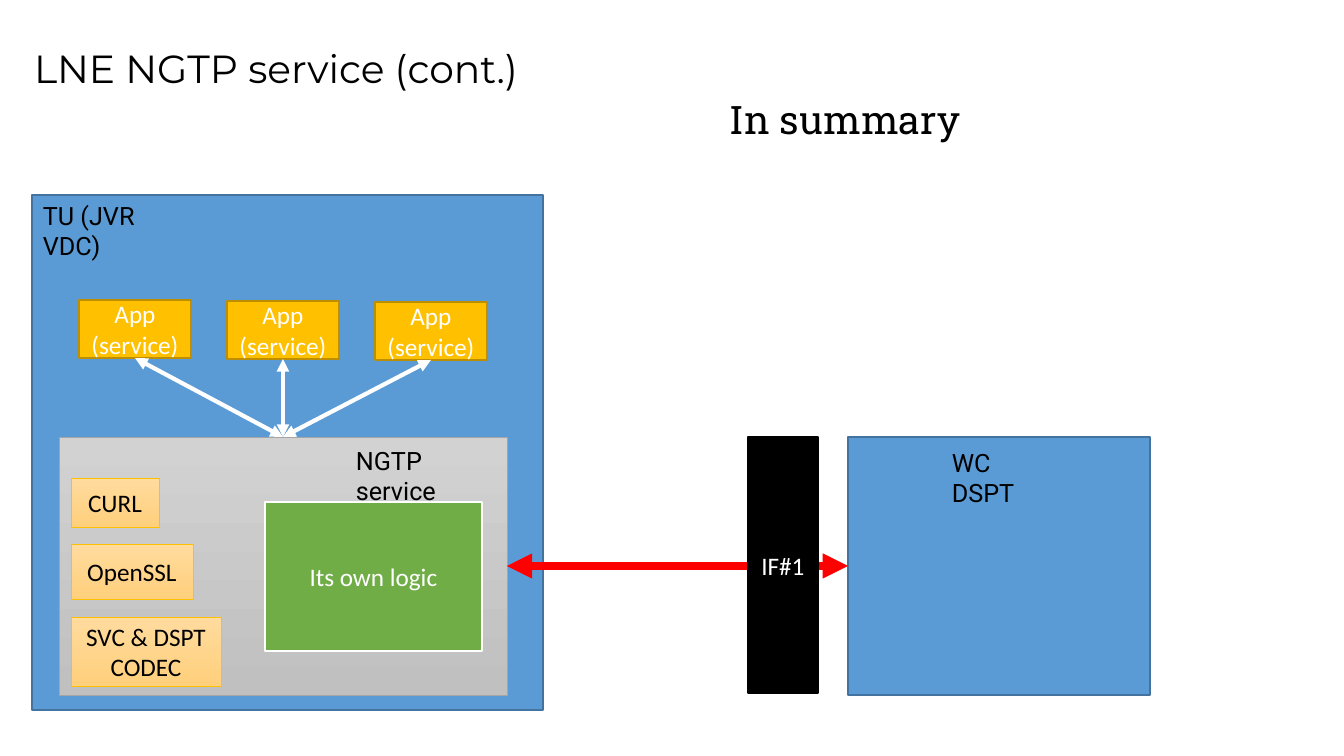
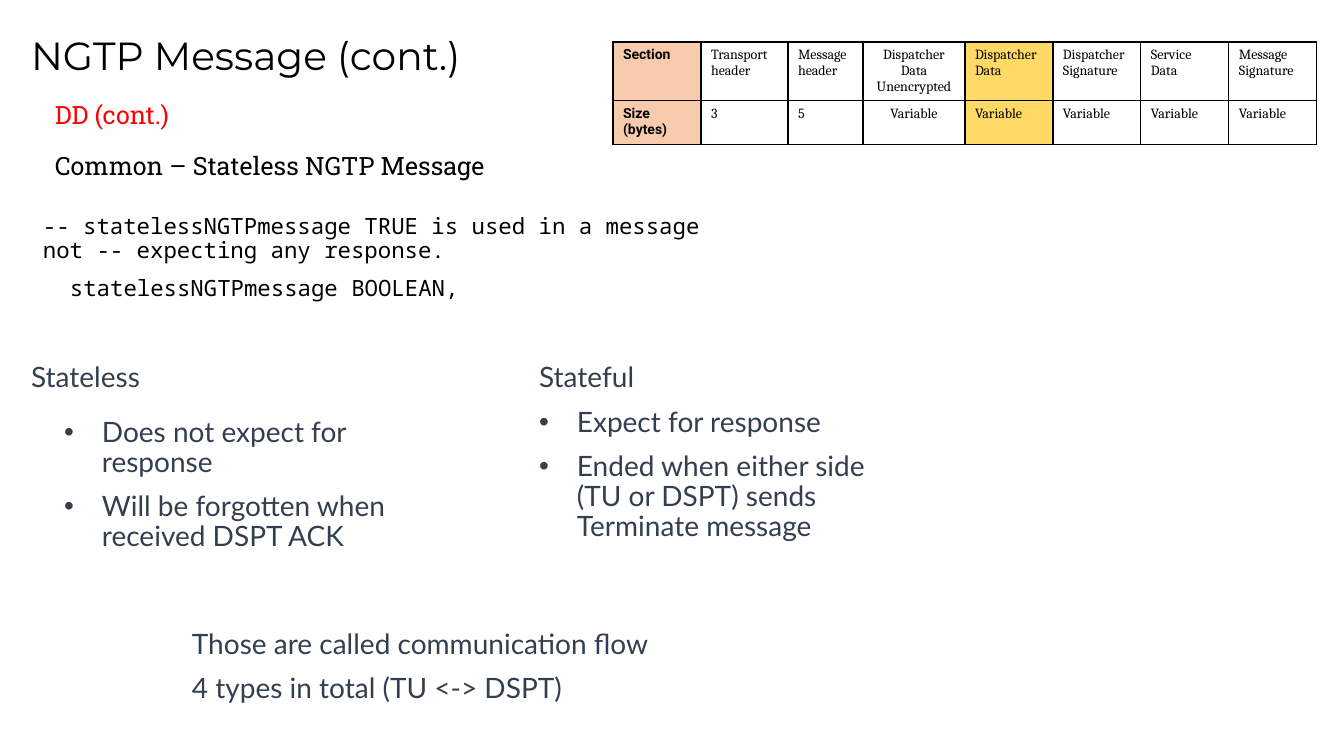
from pptx import Presentation
from pptx.dml.color import RGBColor
from pptx.enum.shapes import MSO_CONNECTOR, MSO_SHAPE
from pptx.enum.text import MSO_ANCHOR, MSO_AUTO_SIZE, PP_ALIGN
from pptx.oxml.ns import qn
from pptx.util import Emu, Pt
from lxml.etree import SubElement

# Shared style
EMU_PER_PX = 914400 / 100.8
BLACK = RGBColor(0x00, 0x00, 0x00)
WHITE = RGBColor(0xFF, 0xFF, 0xFF)
RED = RGBColor(0xFF, 0x00, 0x00)
BLUE = RGBColor(0x5B, 0x9B, 0xD5)
BLUE_EDGE = RGBColor(0x43, 0x73, 0x9E)
GOLD = RGBColor(0xFF, 0xC0, 0x00)
GOLD_EDGE = RGBColor(0xBD, 0x8E, 0x00)
GREEN = RGBColor(0x70, 0xAD, 0x47)
GRAY_EDGE = RGBColor(0xA5, 0xA5, 0xA5)
GRAY_FADE = (RGBColor(0xD2, 0xD2, 0xD2), RGBColor(0xC0, 0xC0, 0xC0))
GOLD_FADE = (RGBColor(0xFF, 0xDB, 0x9E), RGBColor(0xFF, 0xD0, 0x7C))
SLATE = RGBColor(0x33, 0x3F, 0x50)
PEACH = RGBColor(0xF8, 0xCB, 0xAD)
YELLOW = RGBColor(0xFF, 0xD9, 0x66)

TITLE_ONLY, COMPARISON = 5, 4
TITLE_FONT = ("Montserrat", 28, BLACK)
SUMMARY_FONT = ("Roboto Slab", 28, BLACK)
LABEL_FONT = ("Roboto", 18, BLACK)
SECTION_FONT = ("Roboto Slab", 18, BLACK)
ALERT_FONT = ("Roboto Slab", 18, RED)
CODE_FONT = ("Noto Sans Mono", 16, BLACK)
LIST_FONT = ("Lato", 20, SLATE)
CELL_FONT = ("Cambria", 10, BLACK)
CELL_HEAD_FONT = ("Roboto", 10, BLACK)


def px(length):
    return Emu(round(length * EMU_PER_PX))


def set_font(para, style, bold=False):
    para.font.name, para.font.size = style[0], Pt(style[1])
    para.font.color.rgb = style[2]
    para.font.bold = bold


class Deck:
    def __init__(self):
        self.deck = Presentation()
        self.deck.slide_width, self.deck.slide_height = px(1344), px(756)
        self.page = None

    def start(self, layout, title, at):
        self.page = self.deck.slides.add_slide(self.deck.slide_layouts[layout])
        self.fill_placeholder(0, [title], at, TITLE_FONT, spaced=False)

    def set_lines(self, frame, lines, style, spaced):
        frame.word_wrap = True
        frame.auto_size = MSO_AUTO_SIZE.NONE
        frame.vertical_anchor = MSO_ANCHOR.TOP
        frame.text = "\n".join(lines)
        for para in frame.paragraphs:
            para.alignment = PP_ALIGN.LEFT
            set_font(para, style)
            if spaced:
                para.line_spacing = 0.9
                para.space_before = Pt(10)

    def fill_placeholder(self, index, lines, at, style, spaced=True):
        box = self.page.placeholders[index]
        box.left, box.top, box.width, box.height = map(px, at)
        self.set_lines(box.text_frame, lines, style, spaced)

    def text(self, lines, at, style, spaced=False):
        box = self.page.shapes.add_textbox(*map(px, at))
        self.set_lines(box.text_frame, lines, style, spaced)
        return box

    def box(self, at, fill, edge, weight=1, text="", color=WHITE):
        box = self.page.shapes.add_shape(MSO_SHAPE.RECTANGLE, *map(px, at))
        box.shadow.inherit = False
        if isinstance(fill, RGBColor):
            box.fill.solid()
            box.fill.fore_color.rgb = fill
        else:
            box.fill.gradient()
            box.fill.gradient_angle = 270
            for stop, shade in zip(box.fill.gradient_stops, fill):
                stop.color.rgb = shade
        box.line.color.rgb = edge
        box.line.width = Pt(weight)
        if text:
            frame = box.text_frame
            frame.word_wrap = True
            frame.vertical_anchor = MSO_ANCHOR.MIDDLE
            frame.text = text
            frame.paragraphs[0].alignment = PP_ALIGN.CENTER
            set_font(frame.paragraphs[0], ("Calibri", 18, color))
        return box

    def arrow(self, start, start_side, end, end_side, color, weight):
        line = self.page.shapes.add_connector(MSO_CONNECTOR.STRAIGHT, 0, 0, 0, 0)
        line.begin_connect(start, start_side)
        line.end_connect(end, end_side)
        line.line.color.rgb = color
        line.line.width = Pt(weight)
        properties = line._element.spPr
        stroke = properties.find(qn("a:ln"))
        for tip in ("a:headEnd", "a:tailEnd"):
            SubElement(stroke, qn(tip), type="triangle")
        SubElement(properties, qn("a:effectLst"))

    def table(self, left, top, widths, row_height, rows, column_fills, centered):
        frame = self.page.shapes.add_table(
            len(rows), len(widths), px(left), px(top),
            px(sum(widths)), px(row_height * len(rows)))
        table = frame.table
        table.first_row = table.horz_banding = False
        for column, width in zip(table.columns, widths):
            column.width = px(width)
        for row_index, texts in enumerate(rows):
            table.rows[row_index].height = px(row_height)
            for index, text in enumerate(texts):
                cell = table.cell(row_index, index)
                cell.text = text
                for para in cell.text_frame.paragraphs:
                    set_font(para, CELL_FONT if index else CELL_HEAD_FONT, not index)
                    if index in centered:
                        para.alignment = PP_ALIGN.CENTER
                self.outline(cell)
                cell.fill.solid()
                cell.fill.fore_color.rgb = column_fills.get(index, WHITE)

    def outline(self, cell):
        properties = cell._tc.get_or_add_tcPr()
        for side in ("a:lnL", "a:lnR", "a:lnT", "a:lnB"):
            border = SubElement(properties, qn(side), w=str(Pt(1)))
            solid = SubElement(border, qn("a:solidFill"))
            SubElement(solid, qn("a:srgbClr"), val=str(BLACK))


def build_service_slide(deck):
    deck.start(TITLE_ONLY, "LNE NGTP service (cont.)", (24, 39, 572, 57))
    deck.text(["In summary"], (720, 90, 264, 57), SUMMARY_FONT)

    # Telematics unit with its apps
    deck.box((32, 195, 511, 515), BLUE, BLUE_EDGE)
    deck.text(["TU (JVR VDC)"], (33, 195, 160, 40), LABEL_FONT)
    apps = [deck.box((79 + 148 * i, 300 + i, 112, 58), GOLD, GOLD_EDGE,
                     text="App (service)") for i in range(3)]

    # NGTP service and its parts
    service = deck.box((59, 437, 448, 258), GRAY_FADE, GRAY_EDGE, 0.5)
    deck.box((265, 502, 217, 149), GREEN, WHITE, 1.5, "Its own logic")
    for top, width, height, name in ((478, 88, 49, "CURL"),
                                     (544, 122, 55, "OpenSSL"),
                                     (617, 150, 69, "SVC & DSPT CODEC")):
        deck.box((71, top, width, height), GOLD_FADE, GOLD, 0.5, name, BLACK)
    for app in apps:
        deck.arrow(app, 2, service, 0, WHITE, 3)
    deck.text(["NGTP service"], (346, 440, 160, 40), LABEL_FONT)

    # Dispatcher and interface
    dispatcher = deck.box((848, 437, 302, 258), BLUE, BLUE_EDGE)
    deck.arrow(service, 3, dispatcher, 1, RED, 6)
    deck.box((748, 437, 70, 256), BLACK, BLACK, text="IF#1")
    deck.text(["WC DSPT"], (942, 442, 120, 40), LABEL_FONT)


def build_message_slide(deck):
    deck.start(COMPARISON, "NGTP Message (cont.)", (21, 26, 502, 57))

    # Message layout
    deck.table(
        613, 42, (88, 87, 75, 102, 88, 88, 88, 88), 44,
        (("Section", "Transport\vheader", "Message\vheader",
          "Dispatcher\vData\nUnencrypted", "Dispatcher\vData",
          "Dispatcher\vSignature", "Service Data", "Message\vSignature"),
         ("Size (bytes)", "3", "5") + ("Variable",) * 5),
        {0: PEACH, 4: YELLOW}, {3})

    # Field definition
    deck.text(["DD (cont.)"], (45, 94, 158, 40), ALERT_FONT)
    deck.text(["Common – Stateless NGTP Message"], (45, 145, 470, 40), SECTION_FONT)
    code = deck.text(
        ["-- statelessNGTPmessage TRUE is used in a message not -- expecting any response.",
         "statelessNGTPmessage BOOLEAN,"],
        (33, 210, 688, 158), CODE_FONT, spaced=True)
    field = code.text_frame.paragraphs[1]
    field._p.get_or_add_pPr().set("marL", str(px(27)))

    # Comparison of the two message types
    deck.fill_placeholder(1, ["Stateless"], (21, 358, 223, 86), LIST_FONT)
    deck.fill_placeholder(
        2, ["Does not expect for response", "Will be forgotten when received DSPT ACK"],
        (54, 413, 378, 192), LIST_FONT)
    deck.fill_placeholder(3, ["Stateful"], (529, 358, 223, 86), LIST_FONT)
    deck.fill_placeholder(
        4, ["Expect for response",
            "Ended when either side (TU or DSPT) sends Terminate message"],
        (529, 403, 378, 146), LIST_FONT)
    deck.text(["Those are called communication flow", "4 types in total (TU <-> DSPT)"],
              (182, 625, 500, 86), LIST_FONT, spaced=True)


def main():
    deck = Deck()
    build_service_slide(deck)
    build_message_slide(deck)
    deck.deck.save("out.pptx")


if __name__ == "__main__":
    main()
